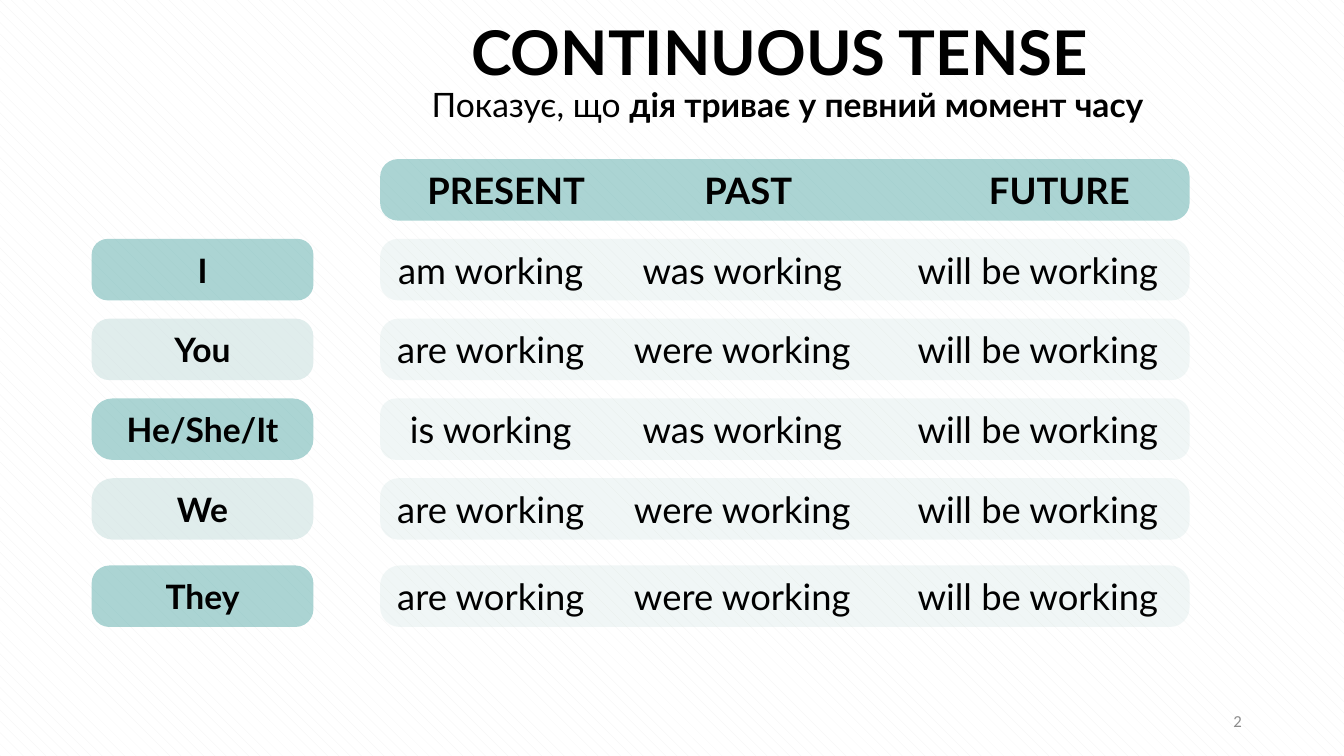
from lxml import etree
from pptx import Presentation
from pptx.dml.color import RGBColor
from pptx.enum import dml, shapes, text
from pptx.oxml import ns
from pptx.util import Cm, Pt

TITLE = "CONTINUOUS TENSE"
SUBTITLE = ("Показує, що ", "дія триває у певний момент часу")
PAGE_NUMBER = "2"

# tense, text width, text centre, centre of the verbs below (cm)
TENSES = [
    ("PRESENT", 4.19, 12.76, 12.37),
    ("PAST", 2.41, 18.86, 18.71),
    ("FUTURE", 3.71, 26.7, 26.16),
]
# pronoun, text width, corner of pronoun bar, corner of verb bar, verbs
PRONOUNS = [
    ("I", 0.28, 0.26, 0.29, ("am working", "was working", "will be working")),
    ("You", 1.63, 0.29, 0.3, ("are working", "were working", "will be working")),
    ("He/She/It", 4.06, 0.34, 0.26, ("is working", "was working", "will be working")),
    ("We", 1.32, 0.35, 0.3, ("are working", "were working", "will be working")),
    ("They", 2.03, 0.29, 0.32, ("are working", "were working", "will be working")),
]
VERB_WIDTHS = {
    "am working": 5.03, "are working": 5.11, "is working": 4.39,
    "was working": 5.41, "were working": 5.89, "will be working": 6.5,
}

BLACK = RGBColor(0x00, 0x00, 0x00)
GREY = RGBColor(0x8C, 0x8C, 0x8C)
WHITE = RGBColor(0xFF, 0xFF, 0xFF)
HATCH = RGBColor(0xF2, 0xF2, 0xF2)
TEAL = RGBColor(0x66, 0xB2, 0xB0)
PALE_TEAL = RGBColor(0xC8, 0xDF, 0xDE)
VERB_TINT = RGBColor(0xC7, 0xDF, 0xDC)

PRONOUN_LEFT, PRONOUN_WIDTH = 2.31, 5.59
VERB_LEFT, VERB_WIDTH = 9.58, 20.4
BAR_HEIGHT = 1.55
HEADER_TOP, ROW_PITCH, LAST_ROW_GAP = 4.01, 2.01, 0.19

prs = Presentation()
prs.slide_width, prs.slide_height = Cm(33.87), Cm(19.05)
slide = prs.slides.add_slide(prs.slide_layouts[6])
backdrop = slide.background.fill
backdrop.patterned()
backdrop.pattern = dml.MSO_PATTERN.SHINGLE
backdrop.fore_color.rgb = HATCH
backdrop.back_color.rgb = WHITE


def add_bar(left, top, width, corner, color, opacity):
    bar = slide.shapes.add_shape(shapes.MSO_SHAPE.ROUNDED_RECTANGLE,
                                 Cm(left), Cm(top), Cm(width), Cm(BAR_HEIGHT))
    bar.adjustments[0] = corner
    bar.shadow.inherit = False
    bar.line.fill.background()
    bar.fill.solid()
    bar.fill.fore_color.rgb = color
    tint = bar.fill._xPr.find(".//" + ns.qn("a:srgbClr"))
    etree.SubElement(tint, ns.qn("a:alpha"), val=str(opacity * 1000))


def add_words(runs, center, middle, width, height, size, wrap=False):
    """Centre a text box on a point; runs are (wording, bold) pairs."""
    box = slide.shapes.add_textbox(Cm(center - width / 2), Cm(middle - height / 2),
                                   Cm(width), Cm(height))
    frame = box.text_frame
    frame.margin_left = frame.margin_right = frame.margin_top = frame.margin_bottom = 0
    frame.word_wrap = wrap
    frame.auto_size = text.MSO_AUTO_SIZE.SHAPE_TO_FIT_TEXT
    frame.vertical_anchor = text.MSO_ANCHOR.MIDDLE
    line = frame.paragraphs[0]
    line.alignment = text.PP_ALIGN.CENTER
    for wording, bold in runs:
        run = line.add_run()
        run.text = wording
        run.font.name, run.font.size, run.font.bold = "Lato", Pt(size), bold
        run.font.color.rgb = BLACK


add_words([(TITLE, True)], 19.65, 1.27, 17.86, 1.88, 44, wrap=True)
add_words(zip(SUBTITLE, (False, True)), 19.85, 2.62, 19.63, 1.02, 24, wrap=True)

add_bar(VERB_LEFT, HEADER_TOP, VERB_WIDTH, 0.29, TEAL, 55)
for tense, width, center, _ in TENSES:
    add_words([(tense, True)], center, HEADER_TOP + BAR_HEIGHT / 2, width, 1.12, 26)

for row, (pronoun, width, pronoun_corner, verb_corner, verbs) in enumerate(PRONOUNS):
    top = HEADER_TOP + ROW_PITCH * (row + 1)
    if row == len(PRONOUNS) - 1:
        top += LAST_ROW_GAP
    middle = top + BAR_HEIGHT / 2
    add_bar(PRONOUN_LEFT, top, PRONOUN_WIDTH, pronoun_corner,
            PALE_TEAL if row % 2 else TEAL, 55)
    add_bar(VERB_LEFT, top, VERB_WIDTH, verb_corner, VERB_TINT, 25)
    add_words([(pronoun, True)], PRONOUN_LEFT + PRONOUN_WIDTH / 2, middle, width, 1.02, 24)
    for verb, (_, _, _, center) in zip(verbs, TENSES):
        add_words([(verb, False)], center, middle, VERB_WIDTHS[verb], 1.12, 26)

page = slide.shapes.add_textbox(Cm(23.93), Cm(17.65), Cm(7.62), Cm(1.02)).text_frame
page.word_wrap = True
page.vertical_anchor = text.MSO_ANCHOR.MIDDLE
page.text = PAGE_NUMBER
number = page.paragraphs[0]
number.alignment = text.PP_ALIGN.RIGHT
number.runs[0].font.name = "Calibri"
number.runs[0].font.size = Pt(12)
number.runs[0].font.color.rgb = GREY

prs.save("out.pptx")
